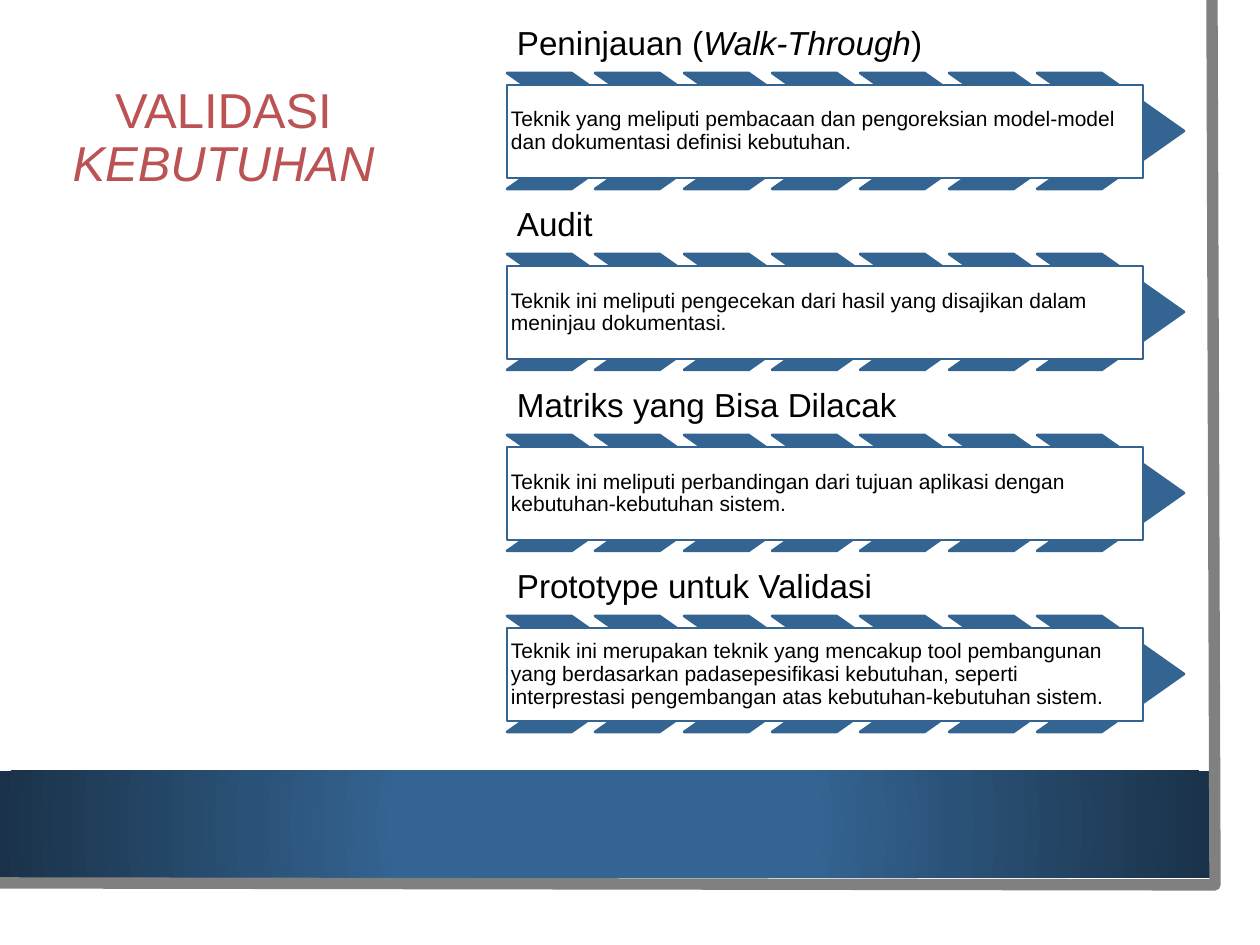
"""Build the requirements validation slide with four arrow panels."""
from dataclasses import dataclass

from lxml.etree import SubElement
from pptx import Presentation
from pptx.dml.color import RGBColor
from pptx.enum.shapes import MSO_SHAPE
from pptx.enum.text import MSO_ANCHOR, PP_ALIGN
from pptx.oxml.ns import qn
from pptx.shapes.autoshape import Shape
from pptx.slide import Slide
from pptx.util import Emu, Pt

SCALE = 914400 / 126
BLUE = RGBColor(0x34, 0x64, 0x92)
NAVY = RGBColor(0x1A, 0x32, 0x49)
GRAY = RGBColor(0x80, 0x80, 0x80)
RED = RGBColor(0xBB, 0x53, 0x54)
WHITE = RGBColor(0xFF, 0xFF, 0xFF)
BLACK = RGBColor(0, 0, 0)
LEFT, TOP, PITCH = 507, 16, 181
COUNT, SPAN = 7, 530


@dataclass(frozen=True)
class Box:
    x: int
    y: int
    w: int
    h: int

    def emu(self) -> list[Emu]:
        return [px(v) for v in (self.x, self.y, self.w, self.h)]


@dataclass(frozen=True)
class Style:
    size: int
    color: RGBColor
    anchor: MSO_ANCHOR
    align: PP_ALIGN = PP_ALIGN.LEFT
    inset: int = 4


@dataclass(frozen=True)
class Panel:
    head: tuple[str, ...]
    body: str


TITLE = Style(28, RED, MSO_ANCHOR.MIDDLE, PP_ALIGN.CENTER, 12)
HEAD = Style(19, BLACK, MSO_ANCHOR.BOTTOM, inset=10)
BODY = Style(12, BLACK, MSO_ANCHOR.MIDDLE)

PANELS = [
    Panel(("Peninjauan (", "Walk-Through", ")"),
          "Teknik yang meliputi pembacaan dan pengoreksian model-model "
          "dan dokumentasi definisi kebutuhan."),
    Panel(("Audit",),
          "Teknik ini meliputi pengecekan dari hasil yang disajikan dalam "
          "meninjau dokumentasi."),
    Panel(("Matriks yang Bisa Dilacak",),
          "Teknik ini meliputi perbandingan dari tujuan aplikasi dengan "
          "kebutuhan-kebutuhan sistem."),
    Panel(("Prototype untuk Validasi",),
          "Teknik ini merupakan teknik yang mencakup tool pembangunan yang "
          "berdasarkan padasepesifikasi kebutuhan, seperti interprestasi "
          "pengembangan atas kebutuhan-kebutuhan sistem."),
]


def px(value: int) -> Emu:
    return Emu(round(value * SCALE))


def write(shape: Shape, parts: tuple[str, ...], style: Style) -> None:
    frame = shape.text_frame
    frame.word_wrap = True
    frame.vertical_anchor = style.anchor
    frame.margin_left = frame.margin_right = px(style.inset)
    frame.margin_top = frame.margin_bottom = px(style.inset)
    para = frame.paragraphs[0]
    para.text = parts[0]
    for part in parts[1:]:
        para.add_run().text = part
    para.alignment = style.align
    para.line_spacing = 0.9
    for index, run in enumerate(para.runs):
        run.font.name = "Arial"
        run.font.size = Pt(style.size)
        run.font.color.rgb = style.color
        if index % 2:
            run.font.italic = True


def label(slide: Slide, box: Box, parts: tuple[str, ...], style: Style) -> None:
    write(slide.shapes.add_textbox(*box.emu()), parts, style)


def solid(slide: Slide, kind: MSO_SHAPE, box: Box, fill: RGBColor) -> Shape:
    shape = slide.shapes.add_shape(kind, *box.emu())
    shape.shadow.inherit = False
    shape.fill.solid()
    shape.fill.fore_color.rgb = fill
    shape.line.color.rgb = BLUE
    shape.line.width = Pt(1.5)
    return shape


def band(slide: Slide, box: Box) -> None:
    shape = solid(slide, MSO_SHAPE.RECTANGLE, box, BLUE)
    shape.line.fill.background()
    shape.fill.gradient()
    stops = shape.fill.gradient_stops
    for stop, place, color in zip(stops, (0.34, 1), (BLUE, NAVY)):
        stop.position = place
        stop.color.rgb = color
    grad = shape._element.spPr.find(qn("a:gradFill"))
    grad.remove(grad.find(qn("a:lin")))
    route = SubElement(grad, qn("a:path"), path="circle")
    SubElement(route, qn("a:fillToRect"),
               {side: "50000" for side in "ltrb"})


def edge(slide: Slide) -> None:
    pen = slide.shapes.build_freeform(1212, 0, scale=SCALE)
    pen.add_line_segments([(1215, 885), (-3, 883)], close=False)
    shape = pen.convert_to_shape()
    shape.shadow.inherit = False
    shape.fill.background()
    shape.line.color.rgb = GRAY
    shape.line.width = Pt(6.5)


def draw(slide: Slide, panel: Panel, top: int) -> None:
    label(slide, Box(LEFT, top, 627, 57), panel.head, HEAD)
    for index in range(COUNT):
        left = LEFT + round(SPAN * index / (COUNT - 1))
        arrow = solid(slide, MSO_SHAPE.CHEVRON,
                      Box(left, top + 57, 147, 116), BLUE)
        arrow.adjustments[0] = 0.71
    card = solid(slide, MSO_SHAPE.RECTANGLE,
                 Box(LEFT, top + 69, 636, 93), WHITE)
    write(card, (panel.body,), BODY)


def main() -> None:
    deck = Presentation()
    deck.slide_width, deck.slide_height = px(1260), px(945)
    slide = deck.slides.add_slide(deck.slide_layouts[6])
    sheet = solid(slide, MSO_SHAPE.RECTANGLE, Box(0, 0, 1239, 916), WHITE)
    sheet.line.fill.background()
    band(slide, Box(0, 771, 1210, 107))
    edge(slide)
    label(slide, Box(25, 65, 397, 149), ("VALIDASI\vKEBUTUHAN",), TITLE)
    for index, panel in enumerate(PANELS):
        draw(slide, panel, TOP + PITCH * index)
    deck.save("out.pptx")


if __name__ == "__main__":
    main()
